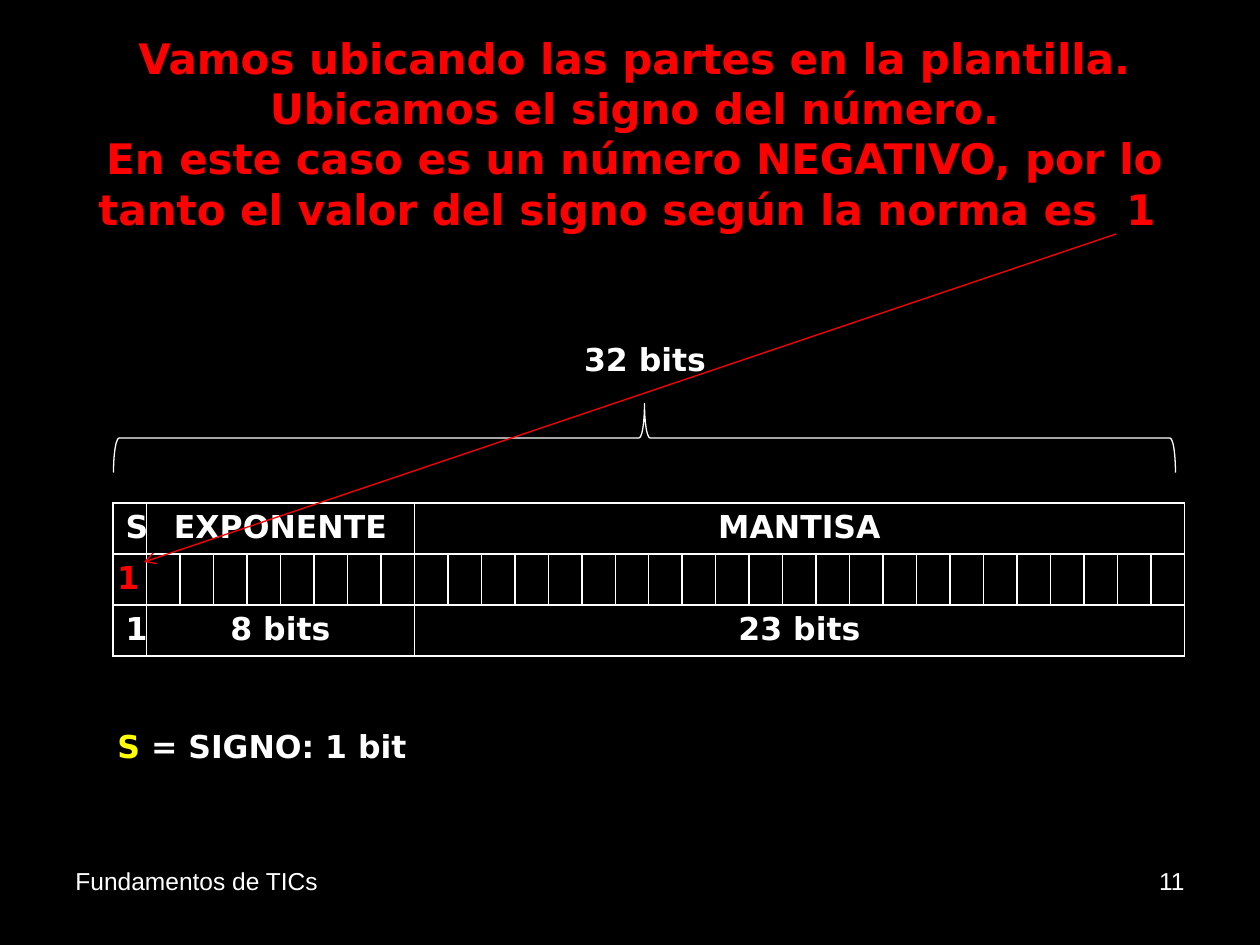
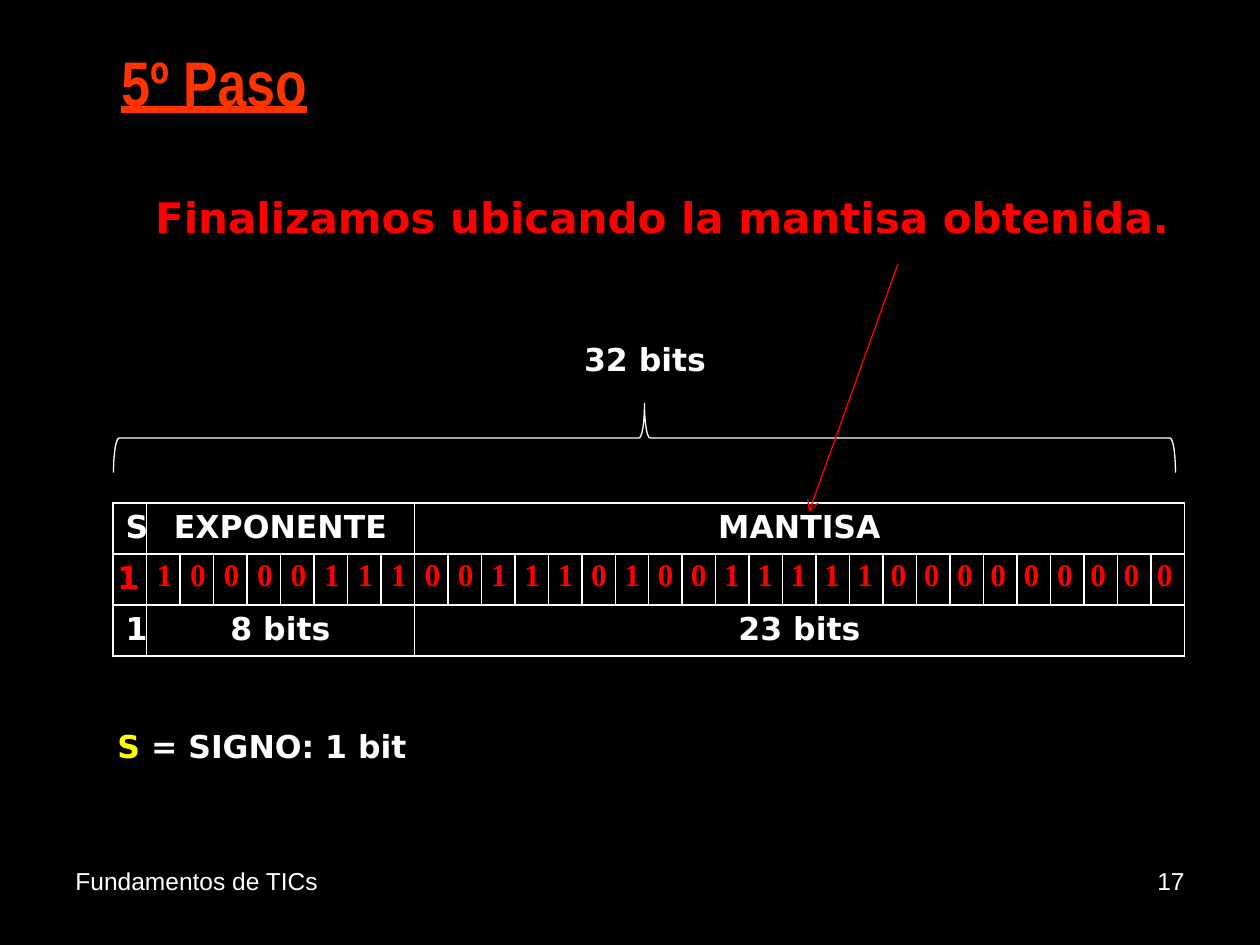
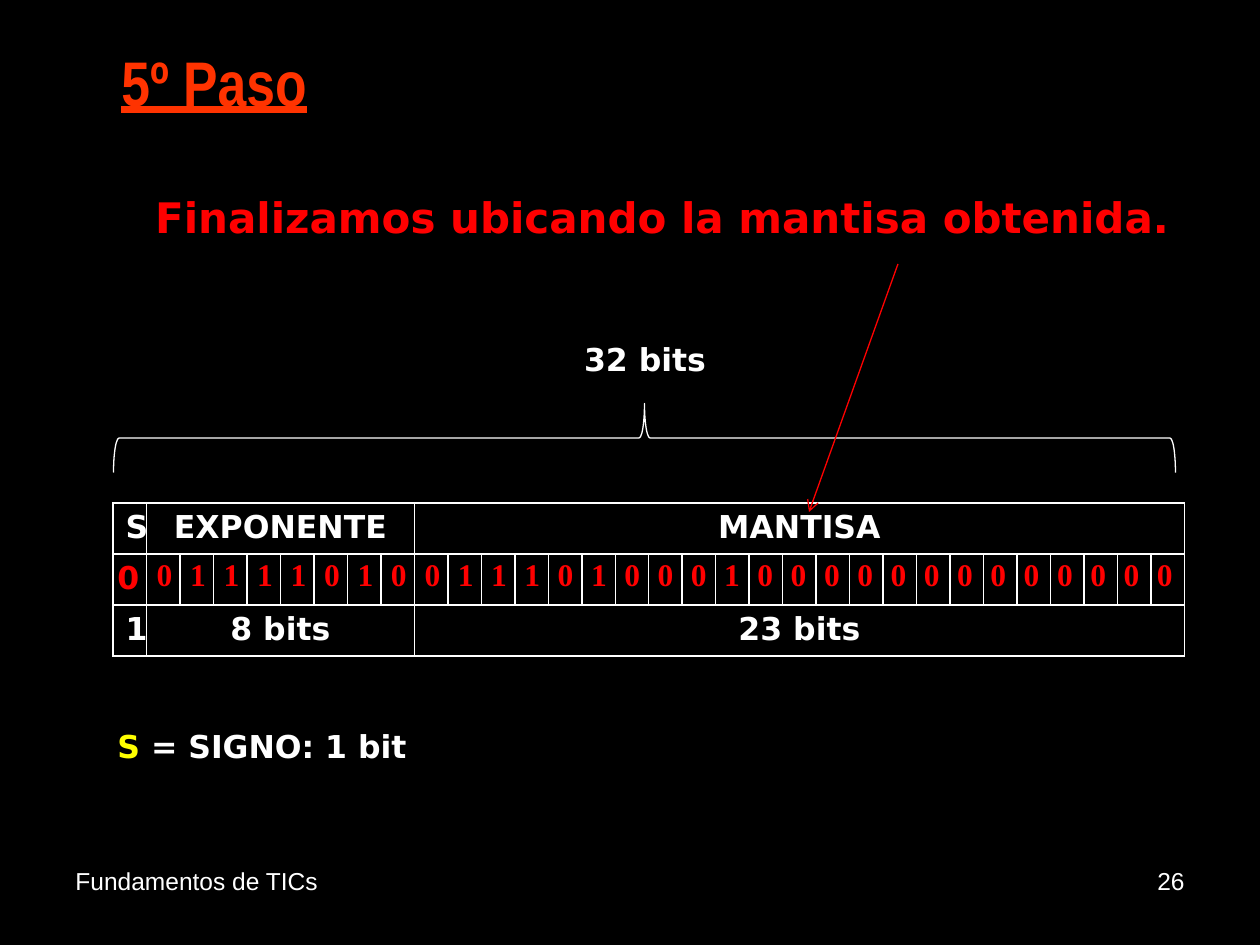
from lxml import etree
from pptx import Presentation, util as u
from pptx.dml.color import RGBColor
from pptx.enum import shapes, text
from pptx.oxml.ns import qn

BLACK, WHITE, RED, ORANGE, YELLOW = "000000", "FFFFFF", "FF0000", "FF3300", "FFFF00"
LEFT, CENTER, RIGHT = text.PP_ALIGN.LEFT, text.PP_ALIGN.CENTER, text.PP_ALIGN.RIGHT

FOOTER = {"name": "Arial", "size": u.Pt(14)}
LABEL = {"name": "DejaVu Sans", "size": u.Pt(18), "bold": True}
STATEMENT = {**LABEL, "size": u.Pt(24)}
DIGIT = {**LABEL, "name": "Times New Roman"}
STEP = {"name": "Arial Narrow", "size": u.Pt(36), "bold": True, "underline": True}

FIELDS = [("S", "1", 1), ("EXPONENTE", "8 bits", 8), ("MANTISA", "23 bits", 23)]
BITS = sum(width for _, _, width in FIELDS)
ROW = 51
TEMPLATE = (113, 503, 1072)

MANTISSA_STEP = {
    "step": "5º Paso",
    "statement": ["Finalizamos ubicando la mantisa obtenida. "],
    "statement_box": (79, 185, 1181, 63),
    "arrow": (898, 264, 809, 512),
}
SLIDES = [
    {
        "number": "11",
        "statement": [
            "Vamos ubicando las partes en la plantilla.",
            "Ubicamos el signo del número.",
            "En este caso es un número NEGATIVO, por lo tanto "
            "el valor del signo según la norma es  1 ",
        ],
        "statement_box": (44, 26, 1181, 217),
        "arrow": (1116, 234, 144, 562),
        "sign": "1",
    },
    {**MANTISSA_STEP, "number": "17", "sign": "1",
     "exponent": "10000111", "mantissa": "00111010011111000000000"},
    {**MANTISSA_STEP, "number": "26", "sign": "0",
     "exponent": "01111010", "mantissa": "01110100010000000000000"},
]


def px(length):
    return u.Emu(round(length * 914400 / 126))


def rgb(value):
    return RGBColor.from_string(value)


def add_span(para, words, style, color):
    span = para.add_run()
    span.text = words
    for name, value in style.items():
        setattr(span.font, name, value)
    span.font.color.rgb = rgb(color)


def add_text(slide, box, lines, style, align=LEFT, wrap=True):
    """Each line is a list of (words, color) spans."""
    frame = slide.shapes.add_textbox(*map(px, box)).text_frame
    frame.word_wrap = wrap
    for index, spans in enumerate(lines):
        para = frame.paragraphs[0] if index == 0 else frame.add_paragraph()
        para.alignment = align
        for words, color in spans:
            add_span(para, words, style, color)


def set_borders(cell, color):
    """Draw all four sides in a color, or none of them when it is None."""
    properties = cell._tc.get_or_add_tcPr()
    for side in ("a:lnL", "a:lnR", "a:lnT", "a:lnB"):
        line = etree.SubElement(properties, qn(side), w=str(u.Pt(1)))
        if color:
            fill = etree.SubElement(line, qn("a:solidFill"))
            etree.SubElement(fill, qn("a:srgbClr"), val=color)
        else:
            etree.SubElement(line, qn("a:noFill"))


def add_grid(slide, left, top, width, rows, columns, border=None, fill=None):
    box = map(px, (left, top, width, rows * ROW))
    table = slide.shapes.add_table(rows, columns, *box).table
    table.first_row = table.horz_banding = False
    for column in table.columns:
        column.width = px(width / columns)
    for row in table.rows:
        row.height = px(ROW)
    for cell in table.iter_cells():
        set_borders(cell, border)
        if fill:
            cell.fill.solid()
            cell.fill.fore_color.rgb = rgb(fill)
        else:
            cell.fill.background()
    return table


def fill_cell(cell, words, style, color, align):
    para = cell.text_frame.paragraphs[0]
    para.alignment = align
    add_span(para, words, style, color)


def add_template(slide):
    table = add_grid(slide, *TEMPLATE, 3, BITS, WHITE, BLACK)
    first = 0
    for name, size, width in FIELDS:
        for row, words in ((0, name), (2, size)):
            cell = table.cell(row, first)
            if width > 1:
                cell.merge(table.cell(row, first + width - 1))
            fill_cell(cell, words, LABEL, WHITE, CENTER)
        first += width


def add_digits(slide, left, width, digits, align):
    table = add_grid(slide, left, TEMPLATE[1] + ROW - 2, width, 1, len(digits))
    for cell, digit in zip(table.iter_cells(), digits):
        fill_cell(cell, digit, DIGIT, RED, align)


def add_brace(slide):
    brace = slide.shapes.add_shape(
        shapes.MSO_SHAPE.RIGHT_BRACE, *map(px, (610, -93, 69, 1062)))
    brace.rotation = 270
    brace.adjustments[0], brace.adjustments[1] = 0.08, 0.5
    brace.shadow.inherit = False
    brace.fill.background()
    brace.line.color.rgb = rgb(WHITE)
    brace.line.width = u.Pt(0.75)


def add_arrow(slide, ends):
    arrow = slide.shapes.add_connector(
        shapes.MSO_CONNECTOR.STRAIGHT, *map(px, ends))
    arrow.line.color.rgb = rgb(RED)
    arrow.line.width = u.Pt(0.75)
    etree.SubElement(arrow.line._get_or_add_ln(), qn("a:tailEnd"), type="arrow")
    etree.SubElement(arrow._element.spPr, qn("a:effectLst"))


def build_slide(deck, content):
    slide = deck.slides.add_slide(deck.slide_layouts[6])
    add_text(slide, (903, 860, 294, 66), [[(content["number"], WHITE)]], FOOTER, RIGHT)
    add_template(slide)
    add_text(slide, content["statement_box"],
             [[(line, RED)] for line in content["statement"]], STATEMENT, CENTER)
    add_text(slide, (471, 334, 348, 50), [[("32 bits", WHITE)]], LABEL, CENTER)
    add_brace(slide)
    add_text(slide, (105, 721, 427, 50),
             [[("S", YELLOW), (" = SIGNO: 1 bit", WHITE)]], LABEL)
    add_arrow(slide, content["arrow"])
    add_text(slide, (105, 552, 49, 89), [[(content["sign"], RED)]], LABEL)
    if "step" in content:
        add_digits(slide, 144, 268, content["exponent"], CENTER)
        add_digits(slide, 412, 766, content["mantissa"], LEFT)
        add_text(slide, (84, 37, 260, 118), [[(content["step"], ORANGE)]],
                 STEP, CENTER, wrap=False)
    add_text(slide, (63, 860, 294, 66), [[("Fundamentos de TICs", WHITE)]], FOOTER)


def main():
    deck = Presentation()
    deck.slide_width, deck.slide_height = px(1260), px(945)
    background = deck.slide_master.background.fill
    background.solid()
    background.fore_color.rgb = rgb(BLACK)
    for content in SLIDES:
        build_slide(deck, content)
    deck.save("out.pptx")


if __name__ == "__main__":
    main()
